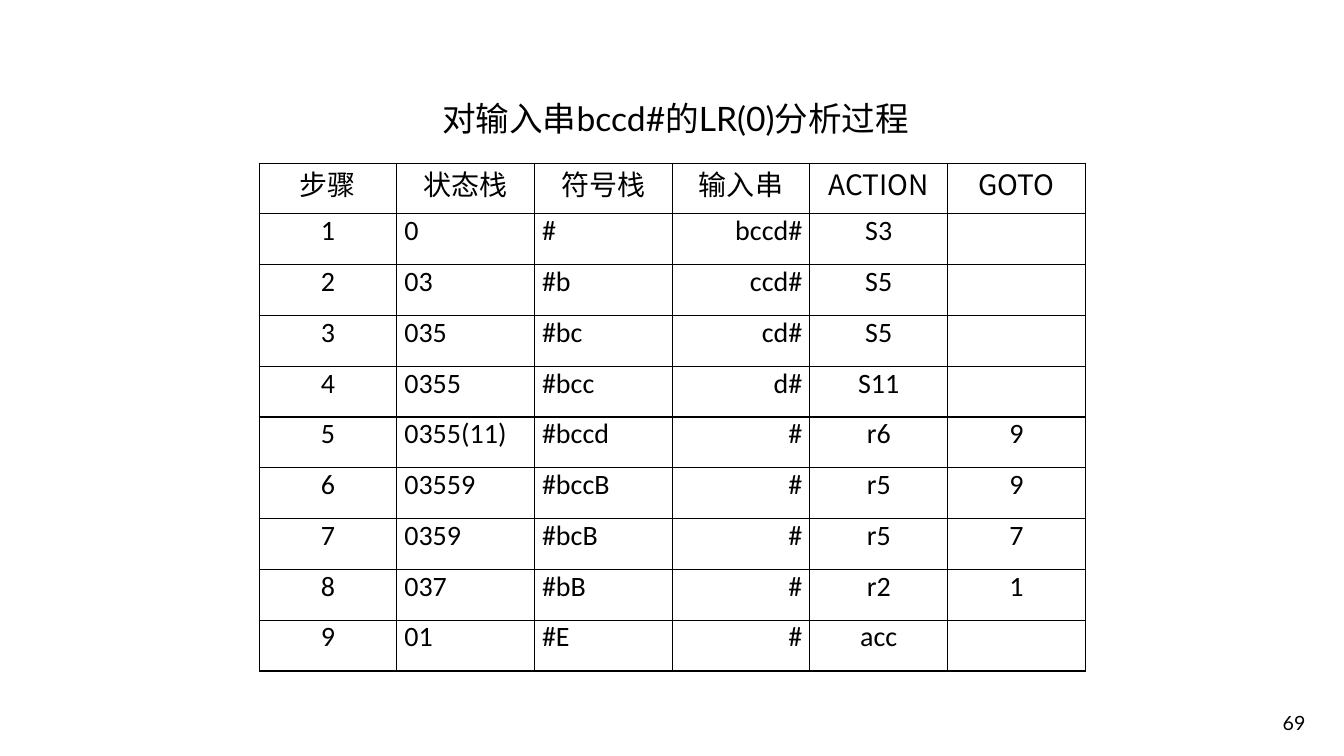
from lxml import etree
from pptx import Presentation
from pptx.dml.color import RGBColor
from pptx.enum import text
from pptx.oxml import ns
from pptx.util import Cm, Pt

BLACK = RGBColor(0x00, 0x00, 0x00)
ALIGN = text.PP_ALIGN
ANCHOR = text.MSO_ANCHOR

HEADINGS = ["步骤", "状态栈", "符号栈", "输入串", "ACTION", "GOTO"]
ALIGNMENTS = [ALIGN.CENTER, ALIGN.JUSTIFY, ALIGN.JUSTIFY, ALIGN.RIGHT, ALIGN.CENTER, ALIGN.CENTER]
STEPS = [
    ["0", "#", "bccd#", "S3", ""],
    ["03", "#b", "ccd#", "S5", ""],
    ["035", "#bc", "cd#", "S5", ""],
    ["0355", "#bcc", "d#", "S11", ""],
    ["0355(11)", "#bccd", "#", "r6", "9"],
    ["03559", "#bccB", "#", "r5", "9"],
    ["0359", "#bcB", "#", "r5", "7"],
    ["037", "#bB", "#", "r2", "1"],
    ["01", "#E", "#", "acc", ""],
]
ROWS = [HEADINGS] + [[str(number)] + step for number, step in enumerate(STEPS, 1)]
COLUMN_WIDTH, ROW_HEIGHT = Cm(3.47), Cm(1.28)


def write(frame, words, align, font_name, size):
    para = frame.paragraphs[0]
    para.alignment = align
    span = para.add_run()
    span.text = words
    for name, value in {"name": font_name, "size": Pt(size), "bold": False}.items():
        setattr(span.font, name, value)
    span.font.color.rgb = BLACK


def add_borders(cell):
    properties = cell._tc.get_or_add_tcPr()
    for index, side in enumerate(("lnL", "lnR", "lnT", "lnB")):
        line = etree.Element(ns.qn(f"a:{side}"), w=str(Pt(1)))
        fill = etree.SubElement(line, ns.qn("a:solidFill"))
        etree.SubElement(fill, ns.qn("a:srgbClr"), val=str(BLACK))
        properties.insert(index, line)


deck = Presentation()
deck.slide_width, deck.slide_height = Cm(33.87), Cm(19.05)
page = deck.slides.add_slide(deck.slide_layouts[5])

title = page.shapes.title
title.left, title.top, title.width, title.height = Cm(7.92), Cm(2.34), Cm(18.21), Cm(1.27)
title.text_frame.vertical_anchor = ANCHOR.TOP
title.text_frame.auto_size = text.MSO_AUTO_SIZE.NONE
write(title.text_frame, "对输入串bccd#的LR(0)分析过程", ALIGN.CENTER, "Lato", 24)

table = page.shapes.add_table(
    len(ROWS), len(HEADINGS), Cm(6.53), Cm(4.11),
    COLUMN_WIDTH * len(HEADINGS), ROW_HEIGHT * len(ROWS),
).table
for column in table.columns:
    column.width = COLUMN_WIDTH
for row in table.rows:
    row.height = ROW_HEIGHT

cell_format = {
    "margin_left": Cm(0.19), "margin_right": Cm(0.19), "margin_top": 0,
    "margin_bottom": 0, "vertical_anchor": ANCHOR.TOP,
}
for row_index, words_in_row in enumerate(ROWS):
    for column_index, words in enumerate(words_in_row):
        cell = table.cell(row_index, column_index)
        for name, value in cell_format.items():
            setattr(cell, name, value)
        cell.fill.background()
        add_borders(cell)
        if words:
            is_heading = row_index == 0
            align = ALIGN.CENTER if is_heading else ALIGNMENTS[column_index]
            latin_heading = is_heading and words.isascii()
            font_name = "Noto Sans CJK JP" if latin_heading else "Calibri"
            write(cell.text_frame, words, align, font_name, 20)

page_number = page.shapes.add_textbox(Cm(26.09), Cm(17.35), Cm(7.06), Cm(1.27))
page_number.text_frame.word_wrap = True
page_number.text_frame.vertical_anchor = ANCHOR.BOTTOM
write(page_number.text_frame, "69", ALIGN.RIGHT, "Lato", 14)

deck.save("out.pptx")
